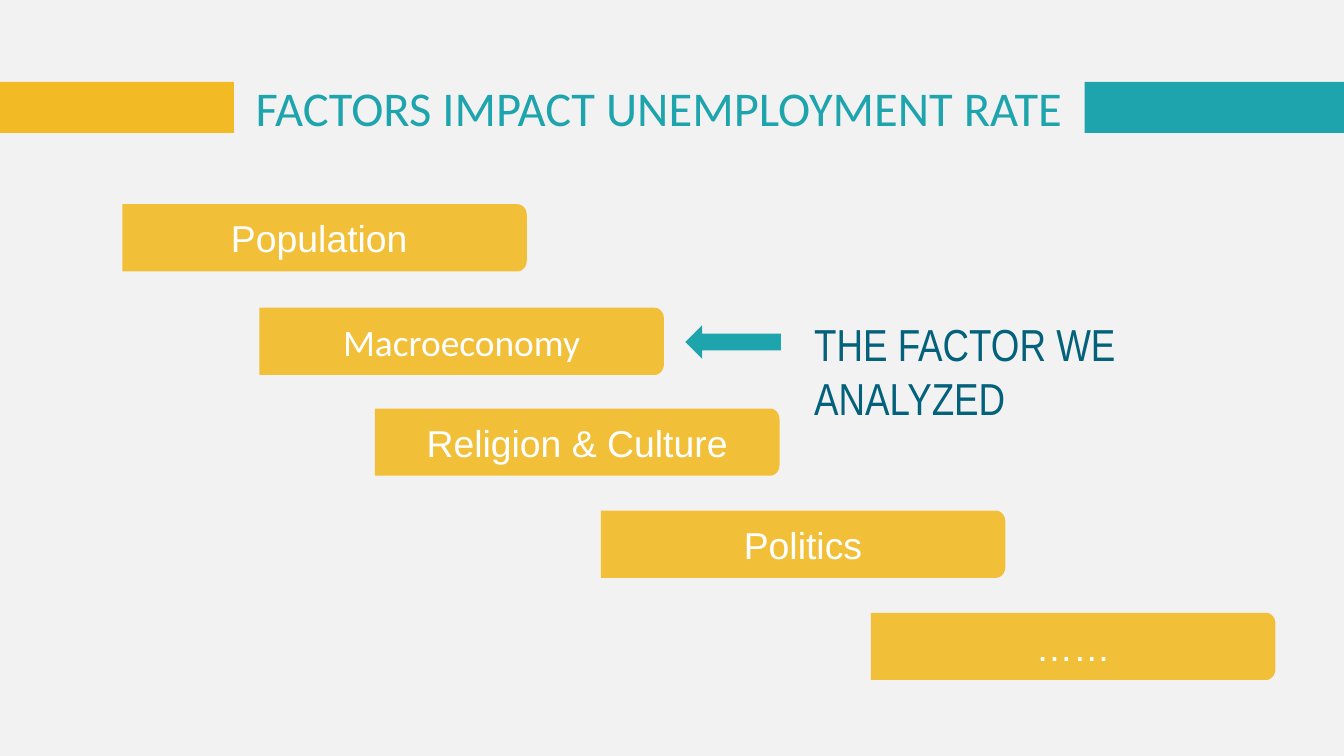
from math import cos, pi, sin

from lxml import etree
from pptx import Presentation
from pptx.dml.color import RGBColor
from pptx.enum.shapes import MSO_SHAPE
from pptx.enum.text import MSO_ANCHOR, PP_ALIGN
from pptx.oxml.ns import qn
from pptx.util import Inches, Pt

RECTANGLE = MSO_SHAPE.RECTANGLE
LEFT_ARROW = MSO_SHAPE.LEFT_ARROW
TOP = MSO_ANCHOR.TOP
MIDDLE = MSO_ANCHOR.MIDDLE
LEFT = PP_ALIGN.LEFT
CENTER = PP_ALIGN.CENTER

YELLOW = "F2BA25"
TEAL = "1EA4AD"
NAVY = "04617B"
WHITE = "FFFFFF"
BACKGROUND = "F2F2F2"

BAR_WIDTH, BAR_HEIGHT = 3.01, 0.5
CORNER_WIDTH, CORNER_HEIGHT = 0.07, 0.08
CORNER_STEPS = 8

FACTORS = [
    ("Population ", 0.91, 1.52, "Arial"),
    ("Macroeconomy", 1.93, 2.29, "Calibri"),
    ("Religion & Culture", 2.79, 3.04, "Arial"),
    ("Politics", 4.47, 3.8, "Arial"),
    ("……", 6.48, 4.56, "Arial"),
]


def paint(fill, color):
    fill.solid()
    fill.fore_color.rgb = RGBColor.from_string(color)


def finish(shape, color):
    shape.shadow.inherit = False
    shape.line.fill.background()
    paint(shape.fill, color)


def set_opacity(shape, percent):
    color_node = shape._element.spPr.find(qn("a:solidFill"))[0]
    etree.SubElement(color_node, qn("a:alpha"), val=str(percent * 1000))


def write(shape, text, size=20, font="Arial", color=WHITE,
          align=CENTER, anchor=MIDDLE, inset_x=0, inset_y=0):
    frame = shape.text_frame
    frame.word_wrap = True
    frame.vertical_anchor = anchor
    frame.margin_left = frame.margin_right = Inches(inset_x)
    frame.margin_top = frame.margin_bottom = Inches(inset_y)
    paragraph = frame.paragraphs[0]
    paragraph.alignment = align
    run = paragraph.add_run()
    run.text = text
    run.font.size = Pt(size)
    run.font.name = font
    run.font.color.rgb = RGBColor.from_string(color)


def add_block(slide, preset, left, top, width, height, color):
    block = slide.shapes.add_shape(
        preset, Inches(left), Inches(top), Inches(width), Inches(height))
    finish(block, color)


def add_label(slide, text, left, top, width, height, **text_format):
    label = slide.shapes.add_textbox(
        Inches(left), Inches(top), Inches(width), Inches(height))
    write(label, text, **text_format)


def corner(center_x, center_y, start):
    angles = [start + pi / 2 * step / CORNER_STEPS for step in range(CORNER_STEPS + 1)]
    return [(Inches(center_x + CORNER_WIDTH * cos(angle)),
             Inches(center_y + CORNER_HEIGHT * sin(angle))) for angle in angles]


def add_factor_bar(slide, text, left, top, font):
    right, bottom = left + BAR_WIDTH, top + BAR_HEIGHT
    corner_x = right - CORNER_WIDTH
    outline = corner(corner_x, top + CORNER_HEIGHT, -pi / 2)
    outline += corner(corner_x, bottom - CORNER_HEIGHT, 0)
    outline.append((Inches(left), Inches(bottom)))
    builder = slide.shapes.build_freeform(Inches(left), Inches(top))
    builder.add_line_segments(outline, close=True)
    bar = builder.convert_to_shape()
    finish(bar, YELLOW)
    set_opacity(bar, 90)
    write(bar, text, font=font)


def main():
    presentation = Presentation()
    presentation.slide_width = Inches(10)
    presentation.slide_height = Inches(10) * 9 // 16
    slide = presentation.slides.add_slide(presentation.slide_layouts[6])
    paint(slide.background.fill, BACKGROUND)

    for factor, left, top, font in FACTORS[:-1]:
        add_factor_bar(slide, factor, left, top, font)

    add_block(slide, RECTANGLE, 0, 0.61, 1.74, 0.38, YELLOW)
    add_label(slide, "FACTORS IMPACT UNEMPLOYMENT RATE", 1.86, 0.58, 6.09, 0.44,
              size=26, font="Calibri", color=TEAL)
    add_block(slide, RECTANGLE, 8.07, 0.61, 1.93, 0.38, TEAL)

    add_factor_bar(slide, *FACTORS[-1])

    add_block(slide, LEFT_ARROW, 5.1, 2.42, 0.71, 0.25, TEAL)
    add_label(slide, "THE FACTOR WE ANALYZED", 5.96, 2.31, 3.76, 0.5,
              size=24, font="Arial Narrow", color=NAVY, align=LEFT, anchor=TOP,
              inset_x=0.1, inset_y=0.05)

    presentation.save("out.pptx")


if __name__ == "__main__":
    main()
